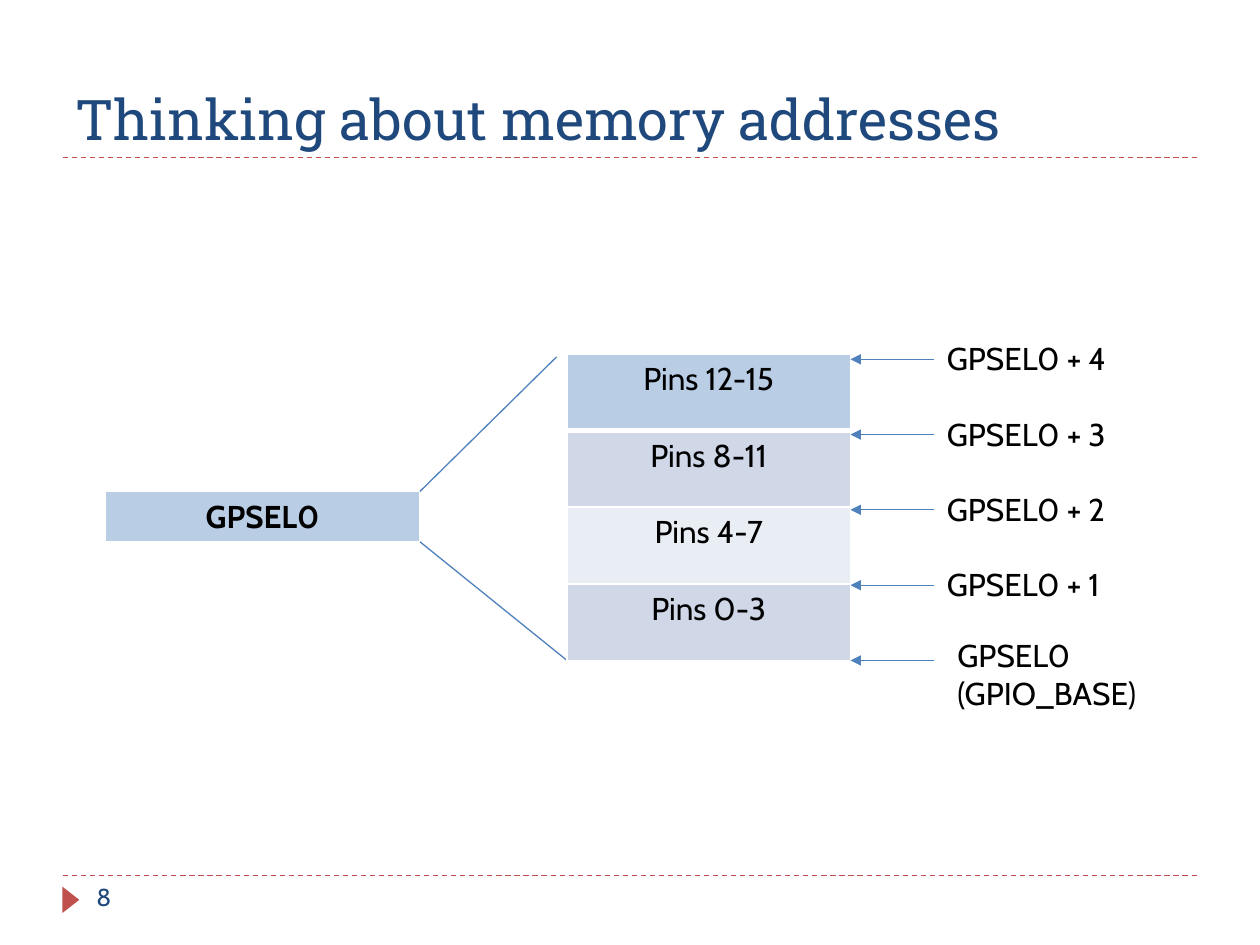
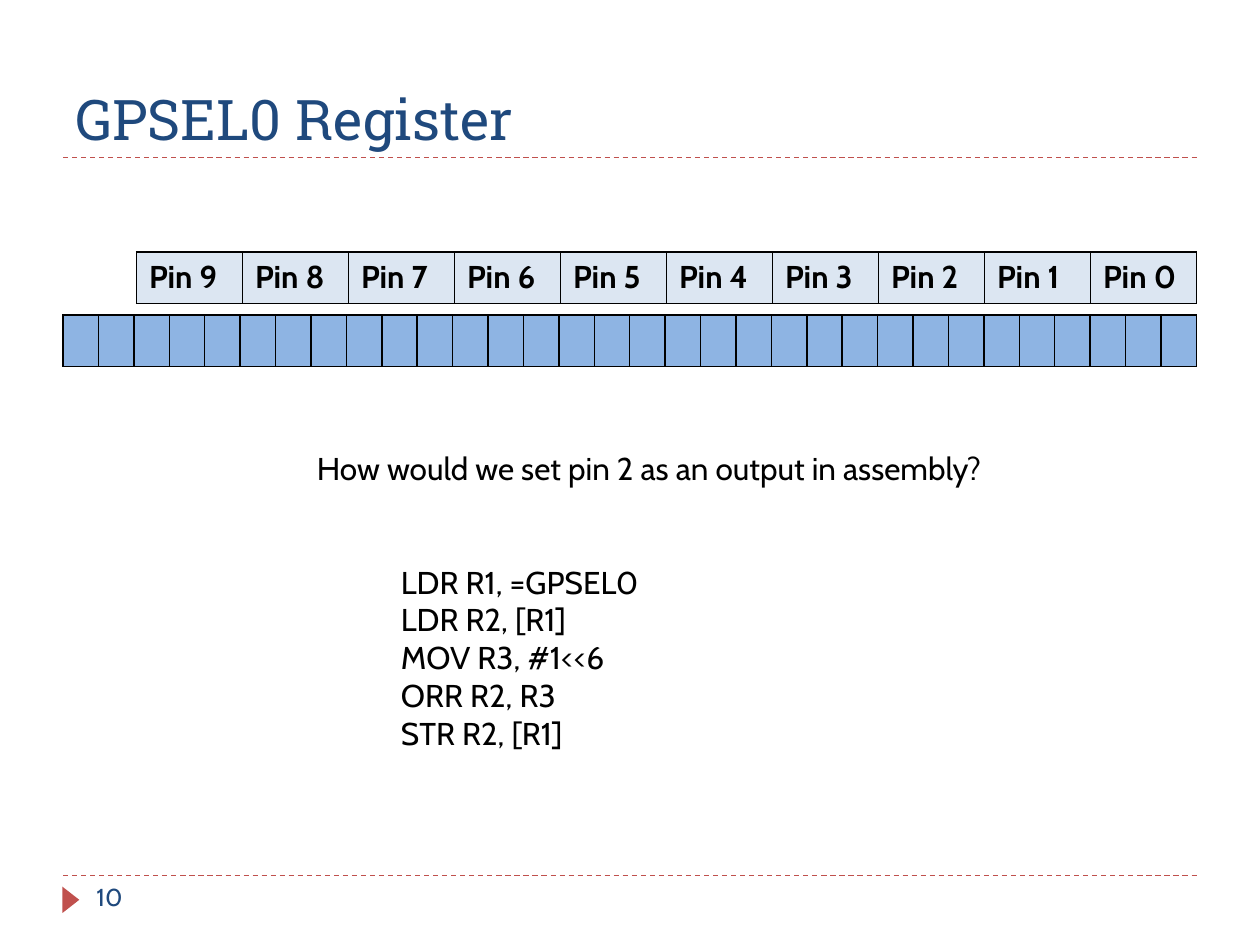
from lxml import etree
from pptx import Presentation
from pptx.dml.color import RGBColor
from pptx.enum.dml import MSO_LINE
from pptx.enum.shapes import MSO_CONNECTOR, MSO_SHAPE
from pptx.enum.text import MSO_ANCHOR, PP_ALIGN
from pptx.oxml.ns import qn
from pptx.util import Inches, Pt

SLIDE_WIDTH, SLIDE_HEIGHT = Inches(10), Inches(7.5)
GRID_COLUMNS = 120
UNIT = SLIDE_WIDTH / GRID_COLUMNS
MARGIN, CONTENT_WIDTH = 6, 108
TITLE_RULE, FOOTER_RULE = 15, 83.4
CELL_HEIGHT = 4.9

NAVY, RED, BLUE = "1F497D", "C0504D", "4F81BD"
BLACK, WHITE = "000000", "FFFFFF"
REGISTER_FILL, BAND_FILL, PALE_FILL = "B9CDE5", "D0D8E8", "E9EDF4"
BIT_FILL, PIN_FILL = "8EB4E3", "DCE6F2"
BODY_FONT, TITLE_FONT = "Cabin", "Roboto Slab"


def color(hex_value):
    """Turn a hex string into a colour."""
    return RGBColor.from_string(hex_value)


def grid(*values):
    """Turn grid units into slide lengths."""
    return [round(value * UNIT) for value in values]


def style(paragraph, size=18, font=BODY_FONT, fill=BLACK, bold=False):
    """Set the font of a whole paragraph."""
    paragraph.font.name = font
    paragraph.font.size = Pt(size)
    paragraph.font.bold = bold
    paragraph.font.color.rgb = color(fill)


def add_text(slide, box, text, anchor=MSO_ANCHOR.TOP, **font):
    """Add a wrapping text box with one paragraph per line."""
    frame = slide.shapes.add_textbox(*grid(*box)).text_frame
    frame.word_wrap = True
    frame.vertical_anchor = anchor
    frame.text = text
    for paragraph in frame.paragraphs:
        style(paragraph, **font)


def add_line(slide, start, end, fill=BLUE, dashed=False, arrow=False):
    """Add a thin straight line, dashed or with an arrowhead if asked."""
    line = slide.shapes.add_connector(MSO_CONNECTOR.STRAIGHT, *grid(*start, *end))
    line.line.color.rgb = color(fill)
    line.line.width = Pt(0.75)
    if dashed:
        line.line.dash_style = MSO_LINE.DASH
    if arrow:
        etree.SubElement(line.line._get_or_add_ln(), qn("a:tailEnd"), type="triangle")
    etree.SubElement(line._element.spPr, qn("a:effectLst"))


def set_borders(cell, fill, bottom_width):
    """Draw the four borders of a cell."""
    properties = cell._tc.get_or_add_tcPr()
    for side in "LRTB":
        width = Pt(bottom_width if side == "B" else 1)
        border = etree.SubElement(properties, qn(f"a:ln{side}"), w=str(width))
        solid = etree.SubElement(border, qn("a:solidFill"))
        etree.SubElement(solid, qn("a:srgbClr"), val=fill)


def add_table(slide, box, rows, fills, border, align=PP_ALIGN.LEFT, bold=False, head_rule=1):
    """Add an evenly divided table with one fill per row."""
    left, top, width, height = grid(*box)
    table = slide.shapes.add_table(len(rows), len(rows[0]), left, top, width, height).table
    for column in table.columns:
        column.width = round(width / len(rows[0]))
    for row_index, (texts, fill) in enumerate(zip(rows, fills)):
        table.rows[row_index].height = round(height / len(rows))
        for column_index, text in enumerate(texts):
            cell = table.cell(row_index, column_index)
            set_borders(cell, border, 1 if row_index else head_rule)
            cell.fill.solid()
            cell.fill.fore_color.rgb = color(fill)
            cell.text = text
            paragraph = cell.text_frame.paragraphs[0]
            paragraph.alignment = align
            style(paragraph, bold=bold)


def add_slide(presentation, title, number):
    """Add a slide with its title, dashed rules and numbered footer."""
    slide = presentation.slides.add_slide(presentation.slide_layouts[6])
    for rule in (FOOTER_RULE, TITLE_RULE):
        add_line(slide, (MARGIN, rule), (MARGIN + CONTENT_WIDTH, rule), RED, dashed=True)
    marker = slide.shapes.add_shape(MSO_SHAPE.ISOSCELES_TRIANGLE, *grid(5.5, 84.9, 2.5, 1.6))
    marker.rotation = 90
    marker.shadow.inherit = False
    marker.fill.solid()
    marker.fill.fore_color.rgb = color(RED)
    marker.line.fill.background()
    add_text(slide, (MARGIN, 2, CONTENT_WIDTH, 13), title, MSO_ANCHOR.BOTTOM,
             size=32, font=TITLE_FONT, fill=NAVY)
    add_text(slide, (8, FOOTER_RULE, 26, CELL_HEIGHT), str(number), size=14, fill=NAVY)
    return slide


def add_memory_slide(presentation):
    """Show the bytes of GPSEL0 and the address of each."""
    slide = add_slide(presentation, "Thinking about memory addresses", 8)
    add_table(slide, (10, 46.8, 30, CELL_HEIGHT), [["GPSEL0"]], [REGISTER_FILL], WHITE,
              PP_ALIGN.CENTER, bold=True, head_rule=3)
    add_line(slide, (40, 46.8), (53, 34))
    add_line(slide, (40, 51.6), (54, 62.9))
    byte_rows = [[f"Pins {first}-{first + 3}"] for first in (12, 8, 4, 0)]
    add_table(slide, (54, 33.7, 27, 29.2), byte_rows,
              [REGISTER_FILL, BAND_FILL, PALE_FILL, BAND_FILL], WHITE,
              PP_ALIGN.CENTER, head_rule=3)
    base_address, address_step = 62.9, 7.17
    for offset in range(5):
        address = base_address - offset * address_step
        add_line(slide, (89, address), (81, address), arrow=True)
        if offset:
            add_text(slide, (89, address - 2.5, 29, CELL_HEIGHT), f"GPSEL0 + {offset}")
    add_text(slide, (90, 60, 29, 8.5), "GPSEL0 (GPIO_BASE)")


def add_register_slide(presentation):
    """Show the pin fields of GPSEL0 and the code that sets one."""
    slide = add_slide(presentation, "GPSEL0 Register", 10)
    add_table(slide, (MARGIN, 30, CONTENT_WIDTH, CELL_HEIGHT), [[""] * 32], [BIT_FILL], BLACK)
    pins = [f"Pin {pin}" for pin in reversed(range(10))]
    add_table(slide, (13, 24, 101, CELL_HEIGHT), [pins], [PIN_FILL], BLACK, bold=True)
    add_text(slide, (29, 42.2, 80, CELL_HEIGHT), "How would we set pin 2 as an output in assembly?")
    code = ["LDR R1, =GPSEL0", "LDR R2, [R1]", "MOV R3, #1<<6", "ORR R2, R3", "STR R2, [R1]"]
    add_text(slide, (37, 53, 57, 19.4), "\n".join(code))


def main():
    """Build and save the presentation."""
    presentation = Presentation()
    presentation.slide_width, presentation.slide_height = SLIDE_WIDTH, SLIDE_HEIGHT
    add_memory_slide(presentation)
    add_register_slide(presentation)
    presentation.save("out.pptx")


if __name__ == "__main__":
    main()
